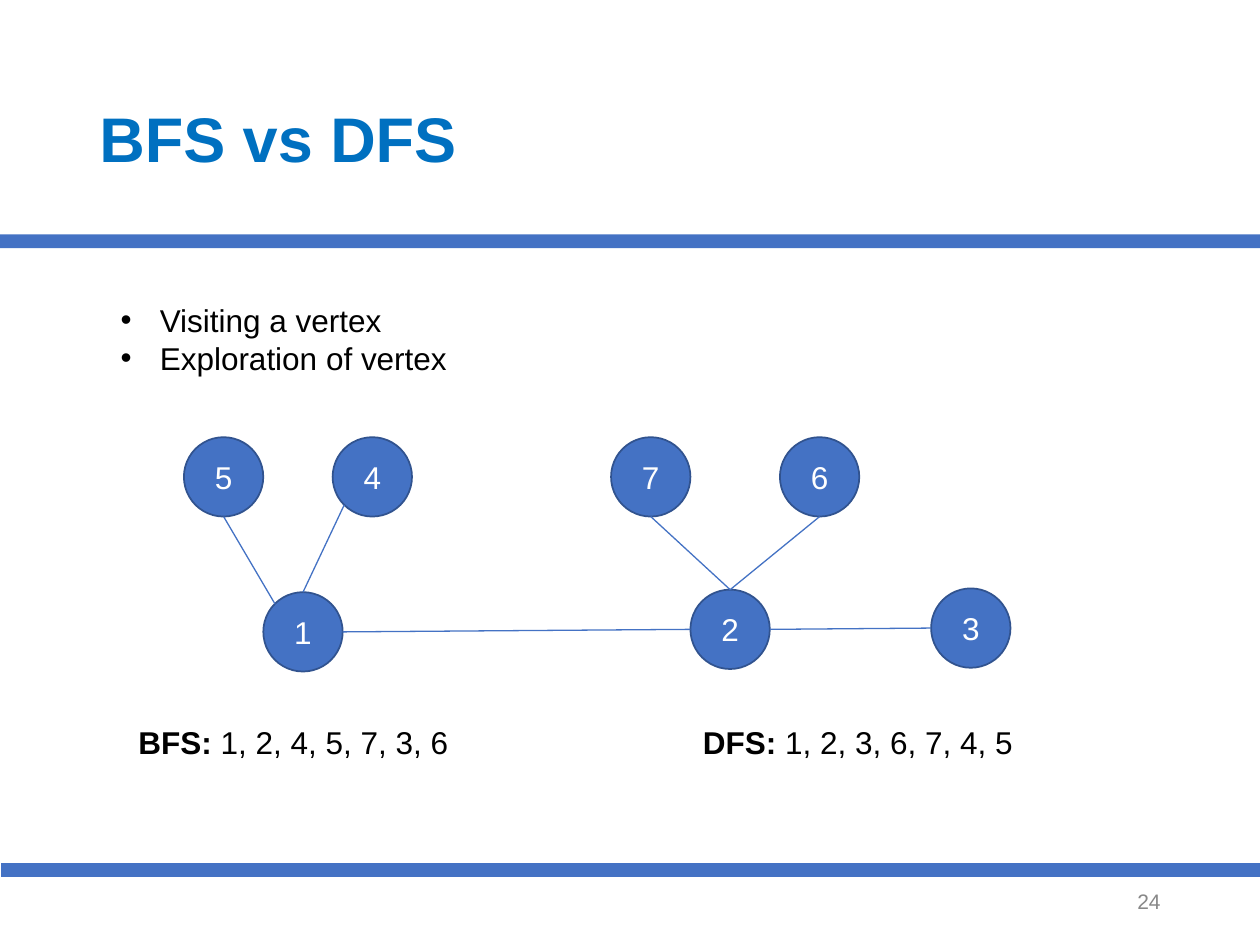
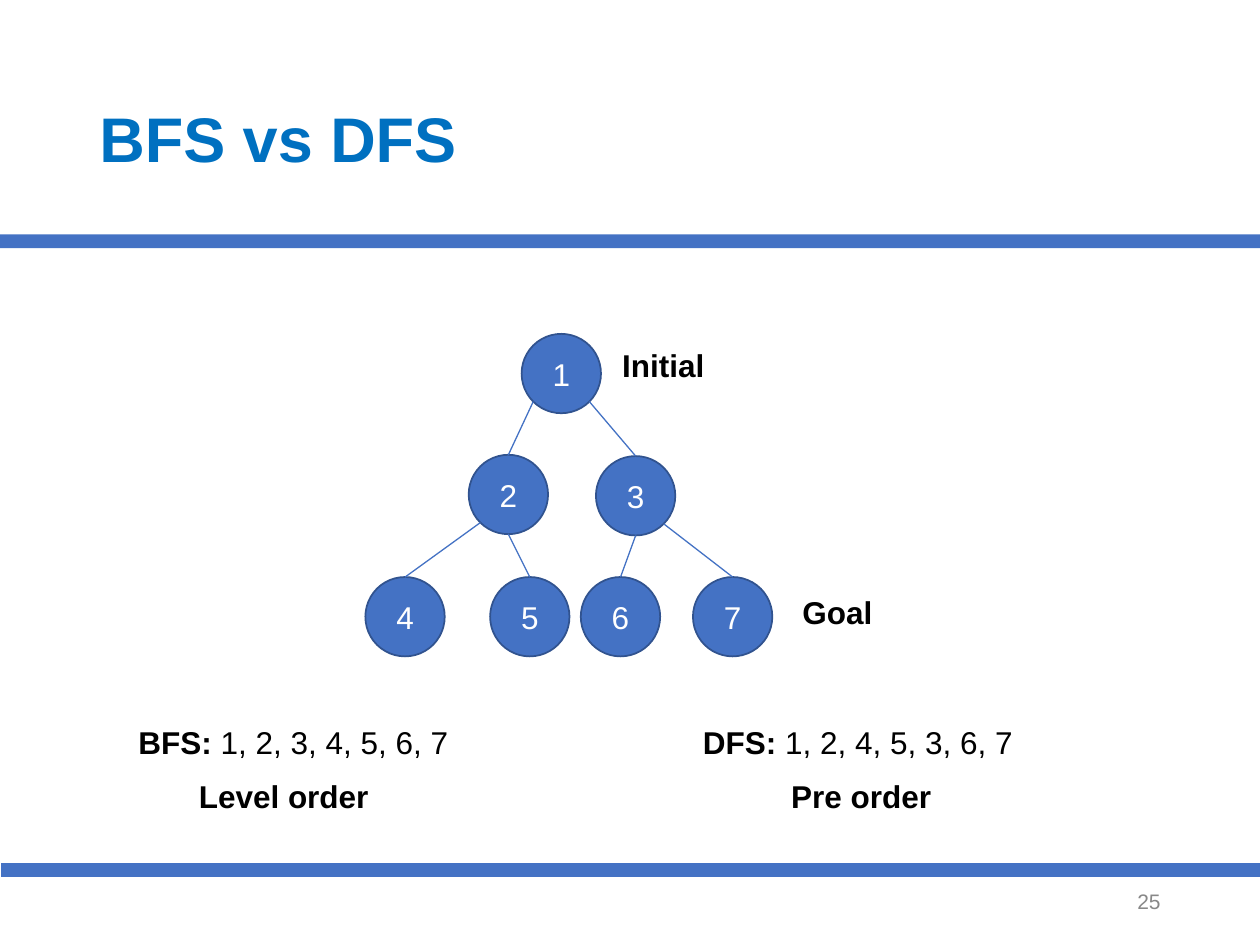
import math

import lxml.etree
import pptx
import pptx.dml.color
import pptx.enum.shapes
import pptx.enum.text
import pptx.oxml.ns
import pptx.util

Inches = pptx.util.Inches
Pt = pptx.util.Pt
RGBColor = pptx.dml.color.RGBColor
SHAPE = pptx.enum.shapes.MSO_SHAPE
ALIGN = pptx.enum.text.PP_ALIGN
ANCHOR = pptx.enum.text.MSO_ANCHOR
qn = pptx.oxml.ns.qn

BLUE = RGBColor(0x44, 0x72, 0xC4)
NODE_EDGE = RGBColor(0x31, 0x53, 0x8F)
TITLE_BLUE = RGBColor(0x00, 0x70, 0xC0)
GREY = RGBColor(0x88, 0x88, 0x88)
BLACK = RGBColor(0x00, 0x00, 0x00)
WHITE = RGBColor(0xFF, 0xFF, 0xFF)

FONT = "Arial"
NODE_SIZE = 0.63
BULLET_INDENT = 0.31
COMPASS = {"E": 0, "SE": 45, "S": 90, "SW": 135, "W": 180, "NW": 225, "N": 270}


class Deck:
    """Holds the shared style and the current slide."""

    def __init__(self):
        self.prs = pptx.Presentation()
        self.prs.slide_width = Inches(10)
        self.prs.slide_height = Inches(7.5)
        self.s = None

    def slide(self, title, number):
        self.s = self.prs.slides.add_slide(self.prs.slide_layouts[6])
        self.band(0.01, 6.85, 9.99)
        self.band(0, 1.86, 10)
        tf = self.text(0.69, 0.4, 8.62, 1.45, [title], 36, TITLE_BLUE, True)
        tf.vertical_anchor = ANCHOR.MIDDLE
        tf.paragraphs[0].line_spacing = 0.9
        tf = self.text(7.06, 6.95, 2.25, 0.4, [str(number)], 12, GREY)
        tf.vertical_anchor = ANCHOR.MIDDLE
        tf.paragraphs[0].alignment = ALIGN.RIGHT

    def shape(self, kind, left, top, width, height):
        sp = self.s.shapes.add_shape(
            kind, Inches(left), Inches(top), Inches(width), Inches(height))
        sp.shadow.inherit = False
        sp.fill.solid()
        sp.fill.fore_color.rgb = BLUE
        return sp

    def band(self, left, top, width):
        self.shape(SHAPE.RECTANGLE, left, top, width, 0.11).line.fill.background()

    def style(self, font, size, color, bold=False):
        font.name = FONT
        font.size = Pt(size)
        font.color.rgb = color
        font.bold = bold

    def text(self, left, top, width, height, lines, size=18, color=BLACK,
             bold=False, wrap=True):
        tf = self.s.shapes.add_textbox(
            Inches(left), Inches(top), Inches(width), Inches(height)).text_frame
        tf.word_wrap = wrap
        tf.text = "\n".join(lines)
        for p in tf.paragraphs:
            for r in p.runs:
                self.style(r.font, size, color, bold)
        return tf

    def label(self, left, top, width, text):
        return self.text(left, top, width, 0.4, [text], bold=True, wrap=False)

    def order(self, left, name, sequence):
        p = self.label(left, 5.69, 2.68, f"{name}: ").paragraphs[0]
        r = p.add_run()
        r.text = sequence
        self.style(r.font, 18, BLACK)

    def bullets(self, left, top, width, height, lines):
        tf = self.text(left, top, width, height, lines)
        for p in tf.paragraphs:
            props = p._p.get_or_add_pPr()
            props.set("marL", str(Inches(BULLET_INDENT)))
            props.set("indent", str(-Inches(BULLET_INDENT)))
            lxml.etree.SubElement(props, qn("a:buFont")).set("typeface", FONT)
            lxml.etree.SubElement(props, qn("a:buChar")).set("char", "•")

    def node(self, name, left, top):
        sp = self.shape(SHAPE.OVAL, left, top, NODE_SIZE, NODE_SIZE)
        sp.line.color.rgb = NODE_EDGE
        sp.line.width = Pt(1)
        tf = sp.text_frame
        tf.text = name
        tf.vertical_anchor = ANCHOR.MIDDLE
        p = tf.paragraphs[0]
        p.alignment = ALIGN.CENTER
        self.style(p.runs[0].font, 18, WHITE)

    def edge(self, start, end):
        line = self.s.shapes.add_connector(
            pptx.enum.shapes.MSO_CONNECTOR.STRAIGHT,
            *map(Inches, start), *map(Inches, end))
        line.line.color.rgb = BLUE
        line.line.width = Pt(0.75)
        lxml.etree.SubElement(line._element.spPr, qn("a:effectLst"))

    def graph(self, nodes, edges):
        for name, place in nodes.items():
            self.node(name, *place)
        for start, start_side, end, end_side in edges:
            self.edge(rim_point(nodes[start], start_side),
                      rim_point(nodes[end], end_side))


def rim_point(place, side):
    """Return the point of a node's rim that faces a compass side."""
    angle = math.radians(COMPASS[side])
    radius = NODE_SIZE / 2
    left, top = place
    return (left + radius * (1 + math.cos(angle)),
            top + radius * (1 + math.sin(angle)))


def main():
    deck = Deck()

    deck.slide("BFS vs DFS", 24)
    upper = 3.47
    deck.graph(
        {"5": (1.46, upper), "4": (2.64, upper), "1": (2.09, 4.7),
         "7": (4.85, upper), "6": (6.19, upper),
         "2": (5.48, 4.68), "3": (7.39, 4.67)},
        [("5", "S", "1", "NW"), ("1", "E", "2", "W"), ("1", "N", "4", "SW"),
         ("7", "S", "2", "N"), ("2", "N", "6", "S"), ("2", "E", "3", "W")])
    deck.bullets(0.86, 2.34, 2.82, 0.71,
                 ["Visiting a vertex", "Exploration of vertex"])
    deck.order(1, "BFS", "1, 2, 4, 5, 7, 3, 6")
    deck.order(5.48, "DFS", "1, 2, 3, 6, 7, 4, 5")

    deck.slide("BFS vs DFS", 25)
    leaves = 4.58
    deck.graph(
        {"1": (4.14, 2.65), "2": (3.72, 3.61), "3": (4.73, 3.62),
         "4": (2.9, leaves), "5": (3.89, leaves),
         "6": (4.61, leaves), "7": (5.5, leaves)},
        [("1", "SE", "3", "N"), ("1", "SW", "2", "N"), ("2", "SW", "4", "N"),
         ("2", "S", "5", "N"), ("3", "S", "6", "N"), ("3", "SE", "7", "N")])
    deck.order(1, "BFS", "1, 2, 3, 4, 5, 6, 7")
    deck.order(5.48, "DFS", "1, 2, 4, 5, 3, 6, 7")
    deck.label(1.48, 6.12, 1.56, "Level order")
    deck.label(6.18, 6.12, 1.32, "Pre order")
    deck.label(4.84, 2.7, 0.86, "Initial")
    deck.label(6.27, 4.66, 0.76, "Goal")

    deck.prs.save("out.pptx")


if __name__ == "__main__":
    main()
